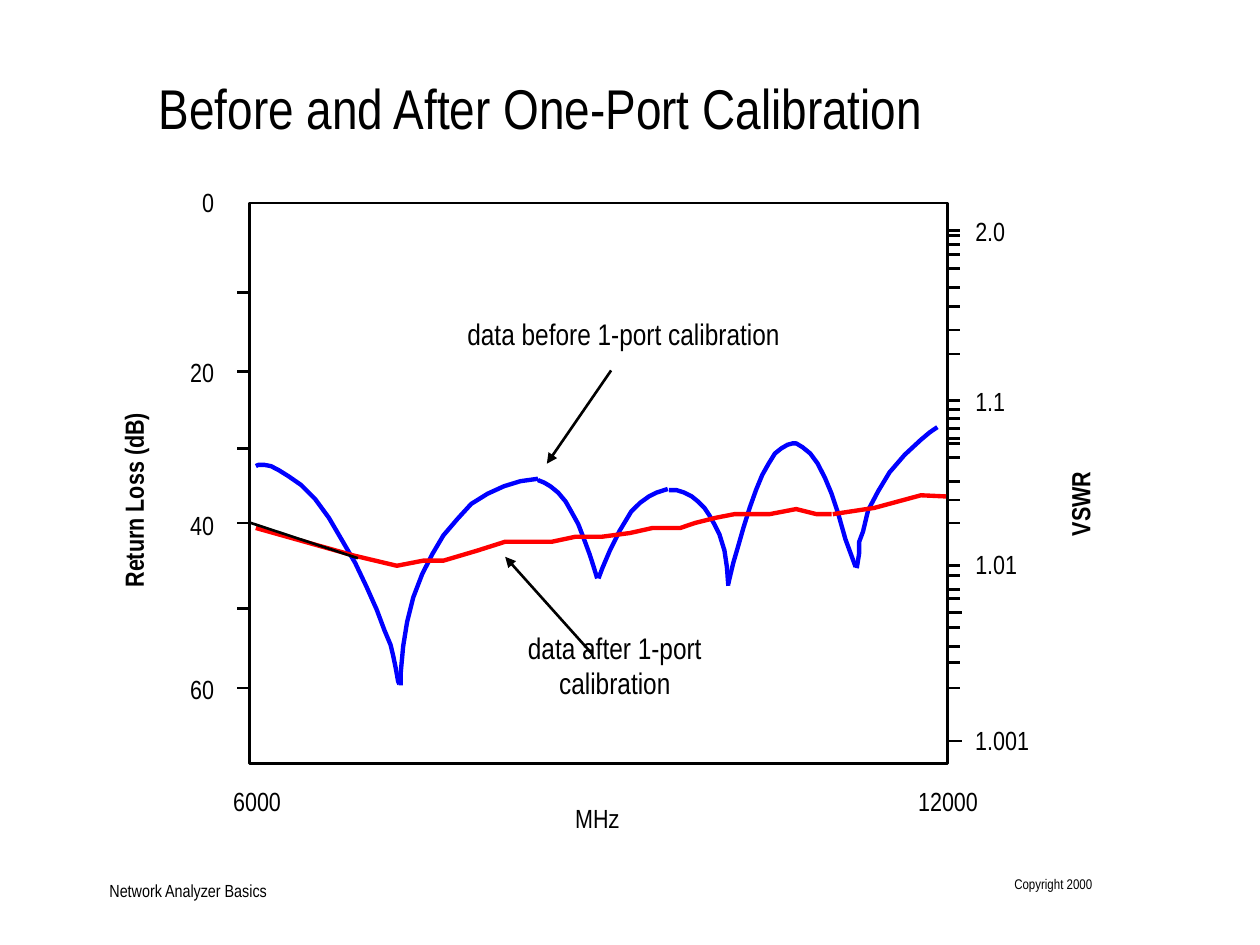
import dataclasses

import lxml.etree
import pptx
import pptx.dml.color
import pptx.enum.shapes
import pptx.enum.text
import pptx.oxml.ns
import pptx.util

Pt = pptx.util.Pt
Align = pptx.enum.text.PP_ALIGN
Anchor = pptx.enum.text.MSO_ANCHOR
FONT = "Arial Narrow"
BLACK, BLUE, RED = "000000", "0000FF", "FF0000"
LEFT, TOP, RIGHT, BASE = 142.6, 115.9, 541.4, 436.3


@dataclasses.dataclass
class Label:
    text: str
    left: float
    top: float
    width: float
    height: float = 22.3
    size: float = 15
    align: Align = Align.CENTER
    anchor: Anchor = Anchor.BOTTOM
    bold: bool = False
    turn: float = 0


@dataclasses.dataclass
class Trace:
    color: str
    points: list[tuple[float, float]]


@dataclasses.dataclass
class Stroke:
    start: tuple[float, float]
    end: tuple[float, float]
    arrow: bool = False


BEFORE = [Trace(BLUE, points) for points in (
    [(146.2, 266.4), (147.6, 265.7), (151.2, 265.7), (154.8, 266.4), (159.1, 268.6),
     (164.9, 272.2), (172.1, 277.2), (180, 285.1), (187.9, 295.9), (195.1, 308.2),
     (203, 321.8), (209.5, 335.5), (215.3, 348.5), (219.6, 360), (223.2, 368.6),
     (224.6, 374.4), (226.1, 381.6), (227.5, 389.5), (228.2, 391)],
    [(307.4, 273.6), (297.4, 275), (288, 277.9), (278.6, 282.2), (269.3, 288),
     (261.4, 296.6), (253.4, 306), (247, 316.8), (241.2, 328.3), (236.2, 341.3),
     (232.6, 355.7), (230.4, 369.4), (229, 384.5), (229, 391.7)],
    [(416.2, 333.4), (419, 321.8), (421.9, 311.8), (424.8, 301.7), (428.4, 290.2),
     (432, 280.1), (435.6, 271.4), (439.2, 265), (442.8, 259.2), (446.4, 256.3),
     (450, 254.2), (452.9, 253.4), (455, 253.4), (458.6, 255.6), (463, 259.2),
     (467.3, 265), (471.6, 273.6), (475.2, 282.2), (478.8, 293), (483.1, 308.2),
     (488.9, 324)],
    [(382.3, 280.1), (386.6, 280.1), (391, 281.5), (395.3, 283.7), (398.9, 286.6),
     (402.5, 290.2), (405.4, 294.5), (408.2, 299.5), (411.1, 305.3), (414, 314.6),
     (415.4, 324), (416.2, 334.8)],
    [(535.7, 244.1), (531.4, 247), (526.3, 251.3), (517, 259.9), (508.3, 270),
     (501.8, 280.8), (496.1, 291.6), (493.2, 303.8), (491, 309.6), (491, 316.1),
     (489.6, 324.7)],
    [(307.4, 274.3), (311, 275.8), (314.6, 277.9), (319, 281.5), (323.3, 286.6),
     (326.9, 293), (330.5, 299.5), (334.1, 308.9), (337, 316.8), (339.1, 323.3),
     (341.3, 330.5)],
    [(342, 330.5), (344.2, 324.7), (348.5, 314.6), (354.2, 303.1), (360.7, 292.3),
     (365.8, 287.3), (370.8, 283.7), (375.1, 281.5), (381.6, 279.4)],
)]
AFTER = [Trace(RED, points) for points in (
    [(146.2, 301.7), (202.3, 317.5), (226.8, 323.3), (241.9, 320.4), (253.4, 320.4),
     (272.9, 314.6), (288.7, 309.6), (315.4, 309.6), (329, 306.7), (344.2, 306.7),
     (360, 304.6), (373, 301.7), (388.8, 301.7), (397.4, 298.8), (409, 295.9),
     (419.8, 293.8), (439.9, 293.8), (455, 290.9), (466.6, 293.8), (475.2, 293.8)],
    [(475.9, 293.8), (499.7, 290.2), (526.3, 283), (540.7, 283.7)],
)]

LOSS = [167, 212.4, 256.3, 298.8, 347.8, 393.1]
VSWR = [131.8, 134.6, 139.7, 145.4, 153.4, 164.2, 175, 188.6, 202.3,
        229, 234, 239, 244.8, 250.6, 253.4, 261.4, 275, 285.8, 298.8,
        323.3, 329, 337, 342, 349.9, 358.6, 369.4, 378.7, 393.1, 423.4]
LONG = {349.9, 423.4}
TICKS = [Stroke((135.7, y), (LEFT, y)) for y in LOSS]
TICKS += [Stroke((542.2, y), (550 if y in LONG else 548.6, y)) for y in VSWR]
MARKS = [
    Stroke((143.3, 298.8), (204.5, 319)),
    Stroke((312.5, 265), (349.2, 211.7), arrow=True),
    Stroke((288.7, 318.2), (338.4, 373.7), arrow=True),
]

LABELS = [
    Label("Network Analyzer Basics", 62.6, 501.8, 192.2, 13, 10, Align.LEFT),
    Label("Copyright 2000", 578.2, 500.4, 46.1, 18, 8, Align.RIGHT, Anchor.TOP),
    Label("data before 1-port calibration", 254.9, 179.3, 203, 21.6, 17),
    Label("data after 1-port calibration", 270, 380.2, 162.7, 20.2, 17),
    Label("6000", 124.6, 444.2, 44.6),
    Label("12000", 514.1, 444.2, 55.4),
    Label("MHz", 319, 454.3, 44.6),
    Label("Return Loss (dB)", -56.2, 274.3, 259.9, 23, bold=True, turn=270),
    Label("VSWR", 553, 276.5, 123.1, 23, bold=True, turn=270),
]
LABELS += [Label(text, 99.4, top, 23, align=Align.RIGHT) for text, top in
           (("0", 102.2), ("20", 199.4), ("40", 286.6), ("60", 380.2))]
LABELS += [Label(text, 557.3, top, width, align=Align.LEFT) for text, top, width in
           (("2.0", 118.8, 28.1), ("1.1", 216, 28.1),
            ("1.01", 308.9, 39.6), ("1.001", 409.7, 50.4))]


def color(value: str) -> pptx.dml.color.RGBColor:
    return pptx.dml.color.RGBColor.from_string(value)


def place(shape, left: float, top: float, width: float, height: float) -> None:
    shape.left, shape.top = Pt(left), Pt(top)
    shape.width, shape.height = Pt(width), Pt(height)


def write(shape, text: str, *, size: float, align=Align.LEFT,
          anchor=Anchor.TOP, bold: bool = False) -> None:
    frame = shape.text_frame
    frame.word_wrap = True
    frame.auto_size = pptx.enum.text.MSO_AUTO_SIZE.NONE
    frame.vertical_anchor = anchor
    frame.margin_left = frame.margin_right = Pt(0)
    frame.margin_top = frame.margin_bottom = Pt(0)
    line = frame.paragraphs[0]
    line.alignment = align
    run = line.add_run()
    run.text = text
    run.font.name, run.font.size, run.font.bold = FONT, Pt(size), bold
    run.font.color.rgb = color(BLACK)


def ink(line, value: str, width: float) -> None:
    line.color.rgb = color(value)
    line.width = Pt(width)


def add_label(slide, label: Label) -> None:
    box = slide.shapes.add_textbox(0, 0, 0, 0)
    place(box, label.left, label.top, label.width, label.height)
    box.rotation = label.turn
    write(box, label.text, size=label.size, align=label.align,
          anchor=label.anchor, bold=label.bold)


def add_trace(slide, trace: Trace) -> None:
    first, *rest = [(Pt(x), Pt(y)) for x, y in trace.points]
    pen = slide.shapes.build_freeform(*first)
    pen.add_line_segments(rest, close=False)
    curve = pen.convert_to_shape()
    curve.shadow.inherit = False
    curve.fill.background()
    ink(curve.line, trace.color, 2.5)


def add_stroke(slide, stroke: Stroke) -> None:
    ends = [Pt(value) for value in (*stroke.start, *stroke.end)]
    line = slide.shapes.add_connector(pptx.enum.shapes.MSO_CONNECTOR.STRAIGHT, *ends)
    ink(line.line, BLACK, 1.5)
    qn = pptx.oxml.ns.qn
    if stroke.arrow:
        lxml.etree.SubElement(line.line._get_or_add_ln(), qn("a:headEnd"), type="triangle")
    lxml.etree.SubElement(line._element.spPr, qn("a:effectLst"))


def add_frame(slide) -> None:
    frame = slide.shapes.add_shape(pptx.enum.shapes.MSO_SHAPE.RECTANGLE, 0, 0, 0, 0)
    place(frame, LEFT, TOP, RIGHT - LEFT, BASE - TOP)
    frame.shadow.inherit = False
    frame.fill.background()
    ink(frame.line, BLACK, 1.5)


def main() -> None:
    deck = pptx.Presentation()
    deck.slide_width, deck.slide_height = Pt(720), Pt(540)
    slide = deck.slides.add_slide(deck.slide_layouts.get_by_name("Title Only"))
    title = slide.shapes.title
    place(title, 90.7, 41.8, 629.3, 36.7)
    write(title, "Before and After One-Port Calibration", size=32)
    for trace in BEFORE:
        add_trace(slide, trace)
    add_frame(slide)
    for trace in AFTER:
        add_trace(slide, trace)
    for stroke in TICKS + MARKS:
        add_stroke(slide, stroke)
    for label in LABELS:
        add_label(slide, label)
    deck.save("out.pptx")


if __name__ == "__main__":
    main()
